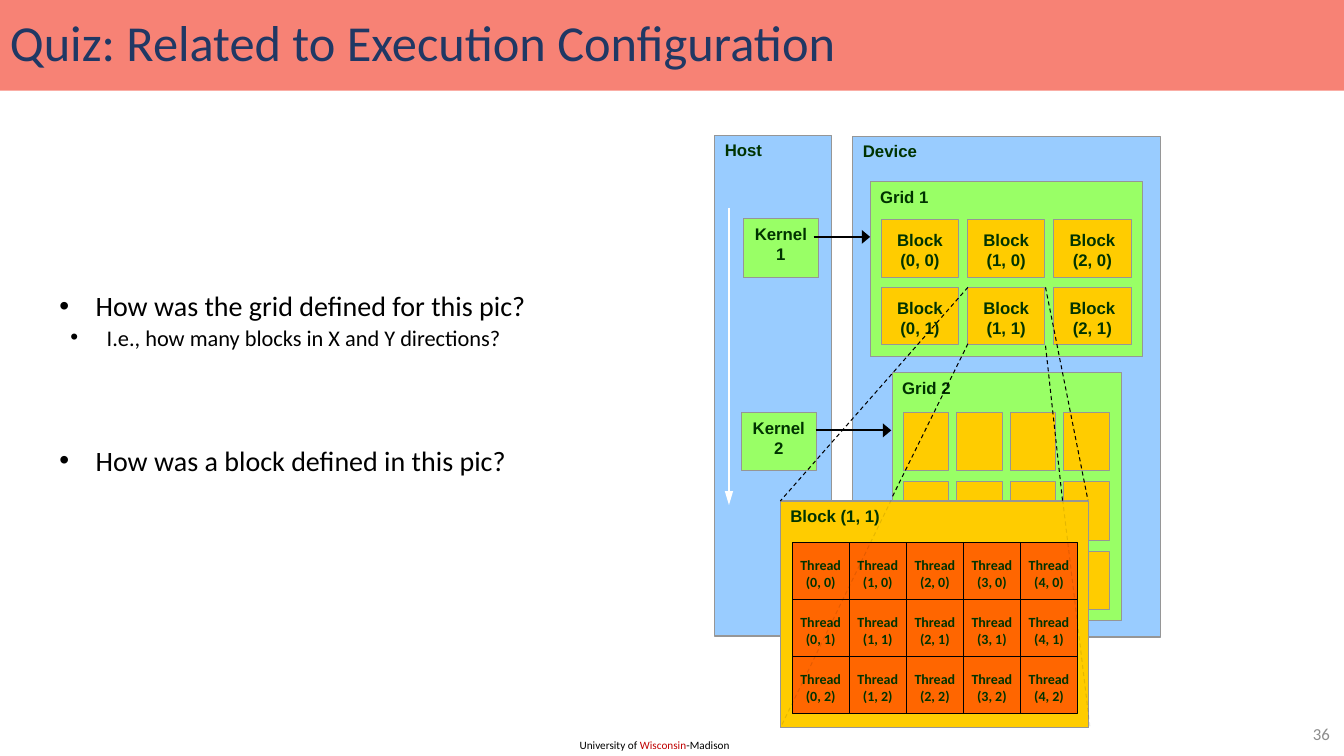
"""Build a quiz slide on kernel execution configuration."""
from itertools import product

from lxml import etree
from pptx import Presentation
from pptx.dml.color import RGBColor
from pptx.enum.dml import MSO_LINE
from pptx.enum.shapes import MSO_CONNECTOR, MSO_SHAPE
from pptx.enum.text import MSO_ANCHOR, PP_ALIGN
from pptx.oxml.ns import qn
from pptx.util import Inches, Pt

RECT = MSO_SHAPE.RECTANGLE
STRAIGHT = MSO_CONNECTOR.STRAIGHT
DASH = MSO_LINE.DASH
TOP, MIDDLE = MSO_ANCHOR.TOP, MSO_ANCHOR.MIDDLE
LEFT, CENTER, RIGHT = PP_ALIGN.LEFT, PP_ALIGN.CENTER, PP_ALIGN.RIGHT

COLORS = {
    "banner": "F2240E", "title": "203864", "black": "000000", "white": "FFFFFF",
    "red": "C00000", "number": "8C8C8C", "panel": "99CCFF", "grid": "99FF66",
    "block": "FFCC00", "thread": "FF6600", "edge": "969696", "label": "003300",
}
LABEL = {"name": "Arial", "size": Pt(12), "bold": True}
THREAD = {"name": "Calibri", "size": Pt(10), "bold": True}
BLOCK_FRAME = {"margin_left": 0, "margin_right": 0, "margin_bottom": 0}
THREAD_FRAME = {**BLOCK_FRAME, "margin_top": 0}
WIDE_HEAD = {"type": "triangle", "w": "lg", "len": "med"}
LONG_HEAD = {"type": "triangle", "w": "med", "len": "lg"}


def rgb(color):
    """Return the named colour."""
    return RGBColor.from_string(COLORS[color])


def set_alpha(fill, percent):
    """Make a solid colour partly transparent."""
    color = fill._xPr.find(qn("a:solidFill"))[0]
    etree.SubElement(color, qn("a:alpha")).set("val", str(percent * 1000))


def apply(target, values):
    """Set every attribute in a dict of format values."""
    for attribute, value in values.items():
        setattr(target, attribute, value)


def add_run(paragraph, text, color, font):
    """Add a formatted run to a paragraph."""
    run = paragraph.add_run()
    run.text = text
    apply(run.font, font)
    run.font.color.rgb = rgb(color)


def write(frame, text, color, font, align=LEFT, **settings):
    """Write one paragraph for each line of text."""
    apply(frame, {"word_wrap": True, "vertical_anchor": TOP, **settings})
    for index, line in enumerate(text.split("\n")):
        paragraph = frame.add_paragraph() if index else frame.paragraphs[0]
        paragraph.alignment = align
        add_run(paragraph, line, color, font)


def add_text(slide, box):
    """Add a text box and return its wrapping frame."""
    frame = slide.shapes.add_textbox(*map(Inches, box)).text_frame
    frame.word_wrap = True
    return frame


def add_box(slide, box, color, text="", align=LEFT, edge="edge", width=0.75, **settings):
    """Add a rectangle with an optional label."""
    shape = slide.shapes.add_shape(RECT, *map(Inches, box))
    shape.shadow.inherit = False
    shape.fill.solid()
    shape.fill.fore_color.rgb = rgb(color)
    shape.line.color.rgb = rgb(edge)
    shape.line.width = Pt(width)
    if text:
        write(shape.text_frame, text, "label", LABEL, align, **settings)


def add_line(slide, ends, width=1, color="black", dash=None, head=None, alpha=None):
    """Add a straight line, optionally dashed, pointed or transparent."""
    connector = slide.shapes.add_connector(STRAIGHT, *map(Inches, ends))
    line = connector.line
    line.color.rgb = rgb(color)
    line.width = Pt(width)
    if dash:
        line.dash_style = dash
    if alpha:
        set_alpha(line.fill, alpha)
    if head:
        etree.SubElement(line._get_or_add_ln(), qn("a:tailEnd"), head)
    etree.SubElement(connector._element.spPr, qn("a:effectLst"))


def add_title(slide, text):
    """Add the title banner."""
    banner = slide.shapes.add_shape(RECT, 0, 0, Inches(13.33), Inches(0.9))
    banner.shadow.inherit = False
    banner.fill.solid()
    banner.fill.fore_color.rgb = rgb("banner")
    set_alpha(banner.fill, 57)
    banner.line.fill.background()
    font = {"name": "Calibri", "size": Pt(36)}
    write(banner.text_frame, text, "title", font, vertical_anchor=MIDDLE)
    banner.text_frame.paragraphs[0].line_spacing = 0.9


def add_questions(slide):
    """Add the bulleted quiz questions."""
    questions = (
        ("How was the grid defined for this pic?", 0, 20, 0.43, 0),
        ("I.e., how many blocks in X and Y directions?", 1, 16, 0.54, 5),
        ("How was a block defined in this pic?", 0, 20, 0.43, 71),
    )
    frame = add_text(slide, (0.42, 1.63, 6.16, 5.28))
    frame.margin_top = Inches(1.3)
    for index, (text, level, size, indent, before) in enumerate(questions):
        paragraph = frame.add_paragraph() if index else frame.paragraphs[0]
        apply(paragraph, {"level": level, "line_spacing": 0.8, "space_before": Pt(before)})
        properties = paragraph._p.get_or_add_pPr()
        properties.set("marL", str(Inches(indent)))
        properties.set("indent", str(Inches(-0.36)))
        etree.SubElement(properties, qn("a:buFont")).set("typeface", "Arial")
        etree.SubElement(properties, qn("a:buChar")).set("char", "•")
        add_run(paragraph, text, "black", {"name": "Calibri", "size": Pt(size)})


def add_footer(slide):
    """Add the university line and the slide number."""
    university = add_text(slide, (5.65, 7.28, 1.72, 0.24)).paragraphs[0]
    for text, color in (("University of ", "black"), ("Wisconsin", "red"), ("-Madison", "black")):
        add_run(university, text, color, {"name": "Calibri", "size": Pt(8)})
    number = add_text(slide, (12.53, 7.13, 0.76, 0.29))
    font = {"name": "Calibri", "size": Pt(12)}
    write(number, "36", "number", font, RIGHT, vertical_anchor=MIDDLE)


def add_host(slide):
    """Add the host panel with its kernels and time arrow."""
    add_box(slide, (7.09, 1.34, 1.16, 4.97), "panel", "Host")
    add_box(slide, (7.37, 2.17, 0.75, 0.58), "grid", "Kernel 1", CENTER)
    add_box(slide, (7.35, 4.09, 0.75, 0.58), "grid", "Kernel 2", CENTER)
    add_line(slide, (7.23, 2.06, 7.23, 5.01), color="white", head=LONG_HEAD)


def add_device(slide):
    """Add the device panel with its two grids of blocks."""
    add_box(slide, (8.46, 1.35, 3.05, 4.97), "panel", "Device")
    add_box(slide, (8.63, 1.8, 2.7, 1.74), "grid", "Grid 1")
    for row, column in product(range(2), range(3)):
        box = (8.74 + 0.855 * column, 2.18 + 0.67 * row, 0.77, 0.57)
        add_box(slide, box, "block", f"Block\n({column}, {row})", CENTER,
                margin_top=Inches(0.1), **BLOCK_FRAME)
    add_box(slide, (8.85, 3.7, 2.27, 2.46), "grid", "Grid 2")
    for row, column in [*product(range(2), range(4)), (2, 3)]:
        add_box(slide, (8.96 + 0.53 * column, 4.09 + 0.69 * row, 0.45, 0.58), "block")


def add_threads(slide):
    """Add the enlarged block with its threads."""
    left, top, width, height = 7.86, 5.38, 2.83, 1.7
    columns, rows = 5, 3
    step_x, step_y = width / columns, height / rows
    add_box(slide, (7.74, 4.97, 3.06, 2.25), "block", "Block (1, 1)")
    add_box(slide, (left, top, width, height), "thread", edge="black", width=1)
    for row in range(1, rows):
        y = top + row * step_y
        add_line(slide, (left, y, left + width, y))
    for column in range(1, columns):
        x = left + column * step_x
        add_line(slide, (x, top, x, top + height))
    for row, column in product(range(rows), range(columns)):
        frame = add_text(slide, (left + 0.05 + column * step_x, top + 0.14 + row * step_y, 0.46, 0.29))
        write(frame, f"Thread\n({column}, {row})", "label", THREAD, CENTER, **THREAD_FRAME)


def add_links(slide):
    """Add the launch arrows and the dashed zoom lines."""
    for ends in ((8.07, 2.35, 8.63, 2.35), (8.09, 4.27, 8.84, 4.27)):
        add_line(slide, ends, 1.5, head=WIDE_HEAD)
    for ends in ((9.6, 2.85, 7.74, 4.97), (10.37, 2.85, 10.79, 4.96),
                 (9.6, 3.41, 8.84, 4.95), (10.37, 3.43, 10.54, 4.98)):
        add_line(slide, ends, 0.75, dash=DASH)
    for ends in ((8.84, 4.96, 7.75, 7.2), (10.54, 4.96, 10.81, 7.21)):
        add_line(slide, ends, 0.75, dash=DASH, alpha=10)


def main():
    """Build and save the slide."""
    deck = Presentation()
    deck.slide_width, deck.slide_height = Inches(13.33), Inches(7.5)
    slide = deck.slides.add_slide(deck.slide_layouts[6])
    add_title(slide, "Quiz: Related to Execution Configuration")
    add_questions(slide)
    add_footer(slide)
    add_host(slide)
    add_device(slide)
    add_threads(slide)
    add_links(slide)
    deck.save("out.pptx")


if __name__ == "__main__":
    main()
